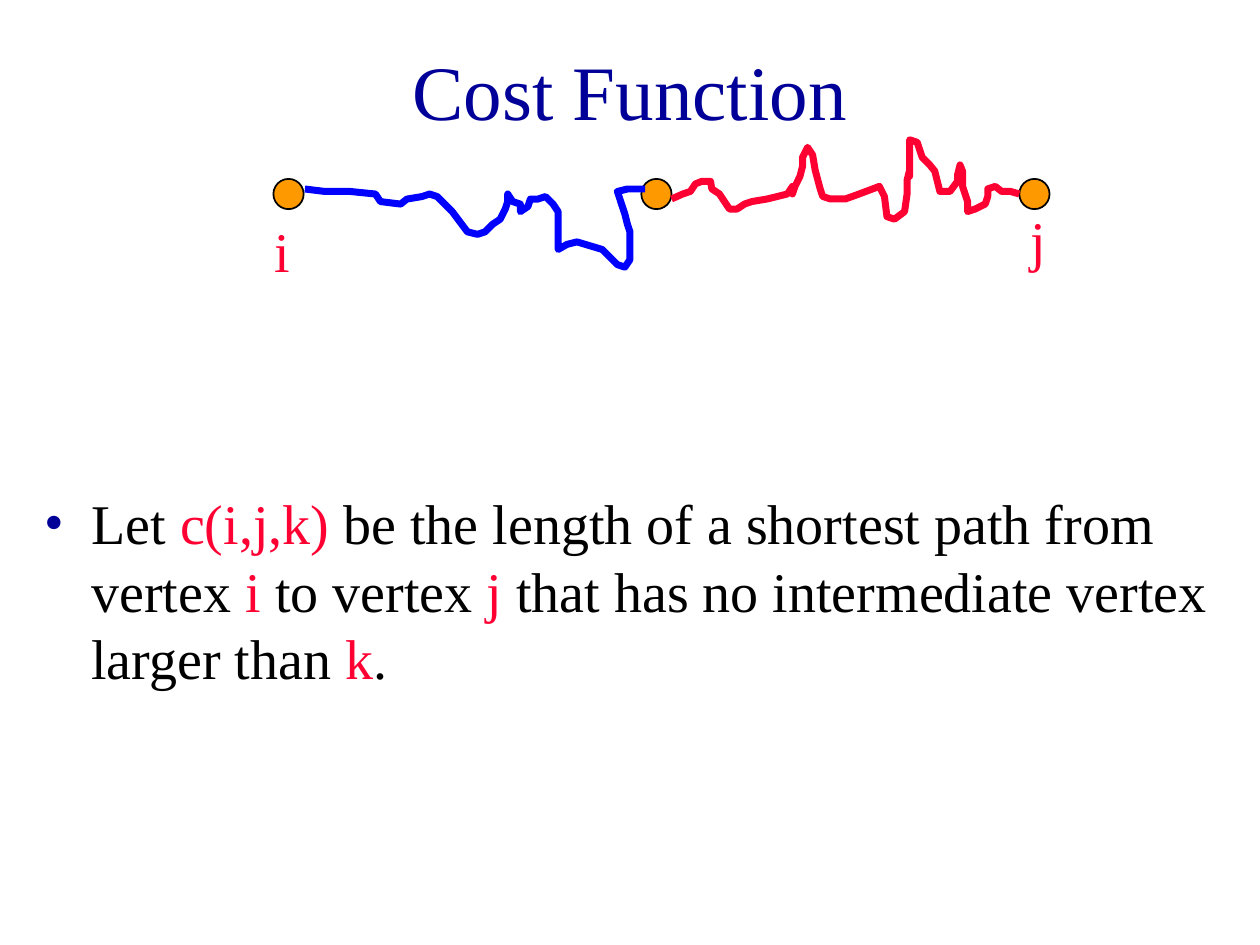
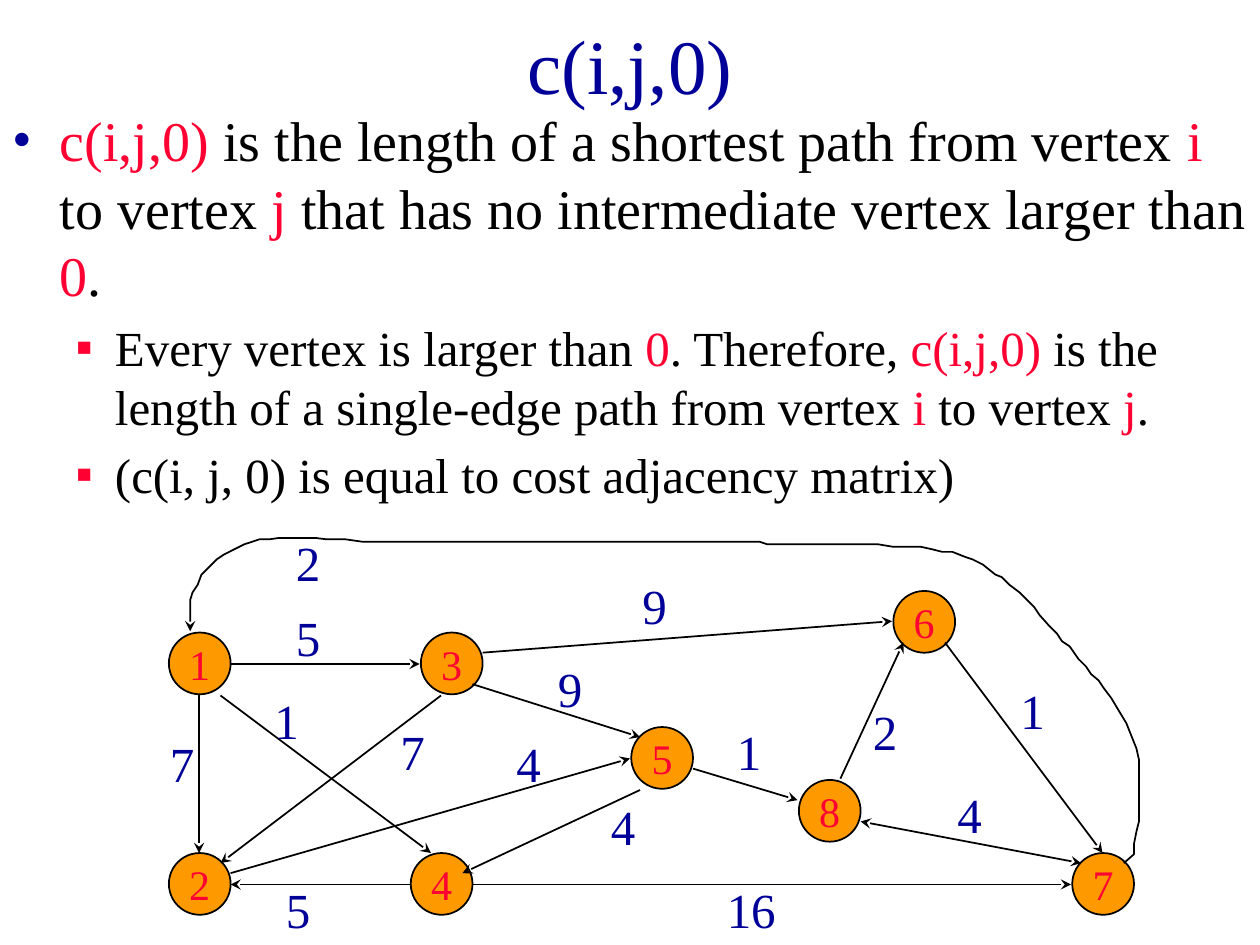
from lxml import etree
from pptx import Presentation
from pptx import util as u
from pptx.dml.color import RGBColor
from pptx.enum import shapes, text
from pptx.oxml.ns import qn

PX = 9144  # EMU per px, 100 px to the inch
FONT = "Times New Roman"
COLORS = {
    "navy": "000099",
    "red": "FF0033",
    "blue": "0000FF",
    "orange": "FF9900",
    "black": "000000",
    "white": "FFFFFF",
}
BULLETS = [("•", "navy", 32), ("▪", "red", 28)]  # mark, mark colour, text size

# Slide 1: the two halves of the path from i to j
PATH_FROM_I = [
    (242, 150), (258, 152), (278, 152), (298, 154), (302, 160), (318, 162), (323, 158),
    (335, 156), (341, 154), (347, 156), (359, 168), (371, 184), (379, 186), (385, 184),
    (391, 178), (397, 174), (401, 166), (403, 160), (403, 154), (407, 160), (413, 162),
    (413, 168), (419, 164), (421, 158), (427, 158), (433, 156), (439, 162), (443, 168),
    (443, 198), (450, 194), (458, 192), (478, 198), (490, 210), (496, 212), (500, 206),
    (500, 184), (498, 178), (496, 170), (492, 158), (490, 152), (498, 150), (512, 150),
]
PATH_TO_J = [
    (533, 158), (542, 154), (548, 152), (552, 146), (557, 144), (564, 144), (565, 150),
    (571, 154), (575, 160), (579, 166), (585, 166), (591, 162), (597, 160), (609, 158),
    (625, 154), (629, 148), (629, 154), (631, 148), (635, 140), (637, 132), (637, 125),
    (641, 117), (645, 123), (647, 135), (651, 150), (653, 156), (659, 158), (671, 158),
    (682, 154), (698, 148), (702, 156), (704, 172), (710, 174), (718, 168), (720, 154),
    (720, 143), (722, 135), (722, 140), (722, 111), (728, 113), (732, 125), (738, 131),
    (742, 136), (746, 152), (754, 152), (760, 144), (760, 139), (762, 131), (764, 136),
    (764, 148), (768, 160), (768, 168), (774, 166), (782, 162), (784, 156), (784, 150),
    (790, 148), (795, 152), (802, 152), (809, 154),
]

# Slide 2: vertices, edges and weights of the graph
VERTICES = {
    "1": (134, 502), "2": (134, 677), "3": (334, 502), "4": (326, 677),
    "5": (501, 577), "6": (709, 469), "7": (851, 677), "8": (634, 619),
}
EDGES = [
    (158, 552, 158, 677), (325, 702, 183, 702), (183, 527, 333, 527),
    (175, 552, 342, 677), (350, 552, 175, 685), (375, 543, 508, 585),
    (183, 693, 500, 602), (508, 627, 367, 693), (375, 702, 850, 702),
    (550, 610, 633, 635), (383, 518, 708, 493), (750, 510, 875, 677),
    (667, 618, 717, 510),
]
TWO_WAY_EDGE = (683, 652, 858, 685)
WEIGHTS = [  # weight, left, top, width
    ("5", 225, 477, 42), ("7", 125, 577, 42), ("1", 208, 543, 67), ("7", 308, 568, 42),
    ("9", 500, 452, 42), ("1", 575, 568, 67), ("9", 433, 518, 42), ("4", 400, 577, 42),
    ("4", 475, 627, 42), ("5", 217, 693, 42), ("16", 567, 693, 83), ("4", 750, 618, 42),
    ("2", 225, 418, 42), ("1", 800, 535, 42), ("2", 683, 552, 42),
]
EDGE_7_TO_1 = [
    (892, 685), (900, 678), (900, 670), (902, 660), (904, 652), (904, 603), (902, 594),
    (898, 584), (894, 574), (888, 564), (882, 554), (876, 546), (872, 540), (866, 535),
    (862, 529), (856, 523), (849, 513), (843, 509), (839, 503), (833, 497), (825, 488),
    (821, 482), (815, 476), (809, 470), (801, 464), (795, 458), (790, 456), (780, 448),
    (772, 444), (766, 442), (756, 438), (748, 438), (740, 436), (731, 434), (709, 434),
    (697, 432), (609, 432), (603, 430), (288, 430), (274, 428), (259, 428), (251, 427),
    (221, 427), (214, 428), (206, 428), (200, 430), (194, 432), (186, 436), (178, 440),
    (172, 444), (166, 450), (160, 456), (157, 464), (153, 470), (151, 476), (151, 501),
]


def rgb(color):
    return RGBColor.from_string(COLORS[color])


def px(*lengths):
    return [u.Emu(length * PX) for length in lengths]


def add_run(paragraph, words, size, color):
    run = paragraph.add_run()
    run.text = words
    run.font.name = FONT
    run.font.size = u.Pt(size)
    run.font.color.rgb = rgb(color)


def place(holder, box):
    holder.left, holder.top, holder.width, holder.height = px(*box)
    holder.text_frame.auto_size = text.MSO_AUTO_SIZE.NONE


def set_bullet(paragraph, mark, color):
    props = paragraph._p.get_or_add_pPr()
    tint = etree.SubElement(props, qn("a:buClr"))
    etree.SubElement(tint, qn("a:srgbClr"), val=COLORS[color])
    etree.SubElement(props, qn("a:buFont"), typeface=FONT)
    etree.SubElement(props, qn("a:buChar"), char=mark)


def add_slide(prs, title, title_box, items, items_box):
    """Items are (level, words); words between asterisks turn red."""
    slide = prs.slides.add_slide(prs.slide_layouts[1])
    slide.background.fill.solid()
    slide.background.fill.fore_color.rgb = rgb("white")

    heading = slide.shapes.title
    place(heading, title_box)
    heading.text_frame.vertical_anchor = text.MSO_ANCHOR.MIDDLE
    heading_line = heading.text_frame.paragraphs[0]
    heading_line.alignment = text.PP_ALIGN.CENTER
    add_run(heading_line, title, 44, "navy")

    body = slide.placeholders[1]
    place(body, items_box)
    for n, (level, words) in enumerate(items):
        frame = body.text_frame
        item = frame.add_paragraph() if n else frame.paragraphs[0]
        item.level = level
        if n == 0:
            item.space_before = u.Pt(0)
        mark, mark_color, size = BULLETS[level]
        set_bullet(item, mark, mark_color)
        for k, part in enumerate(words.split("*")):
            if part:
                add_run(item, part, size, "red" if k % 2 else "black")
    return slide


def add_vertex(slide, left, top, size, name=""):
    vertex = slide.shapes.add_shape(shapes.MSO_SHAPE.OVAL, *px(left, top, size, size))
    vertex.shadow.inherit = False
    vertex.fill.solid()
    vertex.fill.fore_color.rgb = rgb("orange")
    style_line(vertex.line, "black", 1)
    if name:
        frame = vertex.text_frame
        frame.margin_left = frame.margin_right = frame.margin_top = frame.margin_bottom = 0
        frame.word_wrap = False
        frame.vertical_anchor = text.MSO_ANCHOR.MIDDLE
        frame.paragraphs[0].alignment = text.PP_ALIGN.CENTER
        add_run(frame.paragraphs[0], name, 24, "red")


def add_label(slide, words, box, size, color):
    label = slide.shapes.add_textbox(*px(*box))
    label.text_frame.word_wrap = True
    label.text_frame.auto_size = text.MSO_AUTO_SIZE.SHAPE_TO_FIT_TEXT
    add_run(label.text_frame.paragraphs[0], words, size, color)


def style_line(line, color, width, arrows=()):
    line.color.rgb = rgb(color)
    line.width = u.Pt(width)
    for end in arrows:
        etree.SubElement(line._get_or_add_ln(), qn(f"a:{end}"), type="stealth")


def add_edge(slide, ends, arrows=("tailEnd",)):
    edge = slide.shapes.add_connector(shapes.MSO_CONNECTOR.STRAIGHT, *px(*ends))
    style_line(edge.line, "black", 1, arrows)
    etree.SubElement(edge._element.spPr, qn("a:effectLst"))


def add_route(slide, points, color, width, arrows=()):
    builder = slide.shapes.build_freeform(*points[0], scale=PX)
    builder.add_line_segments(points[1:], close=False)
    route = builder.convert_to_shape()
    route.shadow.inherit = False
    route.fill.background()
    style_line(route.line, color, width, arrows)


def add_cost_function(prs):
    slide = add_slide(
        prs, "Cost Function", (75, 17, 850, 108),
        [(0, "Let *c(i,j,k) *be the length of a shortest path from vertex *i *to vertex "
             "*j *that has no intermediate vertex larger than *k*.")],
        (25, 383, 975, 200))
    for left in (217, 509, 809):
        add_vertex(slide, left, 142, 24)
    add_route(slide, PATH_FROM_I, "blue", 4)
    add_route(slide, PATH_TO_J, "red", 4)
    add_label(slide, "i", (208, 167, 25, 63), 32, "red")
    add_label(slide, "j", (808, 158, 25, 63), 32, "red")


def add_base_case(prs):
    slide = add_slide(
        prs, "c(i,j,0)", (75, 17, 850, 67),
        [(0, "*c(i,j,0) *is the length of a shortest path from vertex *i *to vertex "
             "*j *that has no intermediate vertex larger than *0*."),
         (1, "Every vertex is larger than *0*. Therefore,* c(i,j,0) *is the length of a "
             "single-edge path from vertex *i *to vertex *j*."),
         (1, "(c(i, j, 0) is equal to cost adjacency matrix)")],
        (0, 79, 1000, 333))
    for name, (left, top) in VERTICES.items():
        add_vertex(slide, left, top, 49, name)
    for ends in EDGES:
        add_edge(slide, ends)
    add_edge(slide, TWO_WAY_EDGE, ("headEnd", "tailEnd"))
    add_route(slide, EDGE_7_TO_1, "black", 1, ("tailEnd",))
    for weight, left, top, width in WEIGHTS:
        add_label(slide, weight, (left, top, width, 57), 28, "navy")


def main():
    prs = Presentation()
    prs.slide_width, prs.slide_height = px(1000, 750)
    add_cost_function(prs)
    add_base_case(prs)
    prs.save("out.pptx")


if __name__ == "__main__":
    main()
